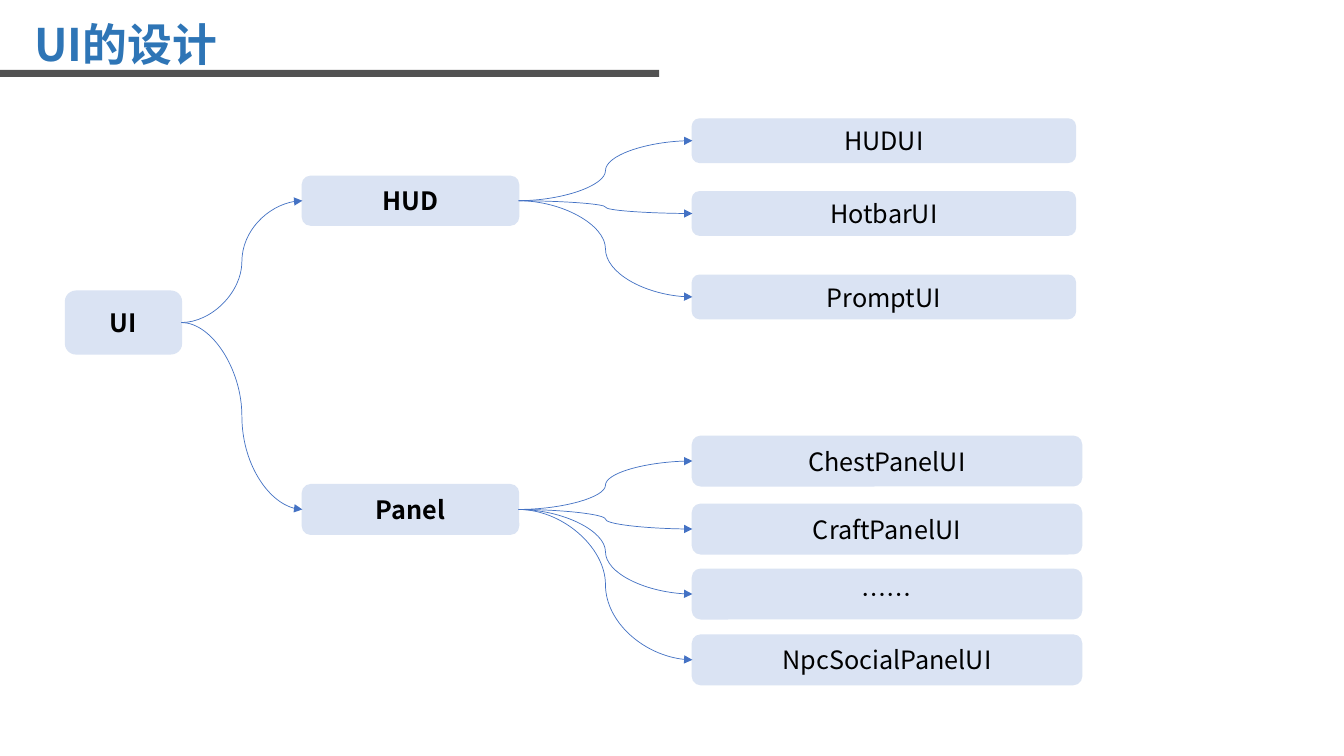
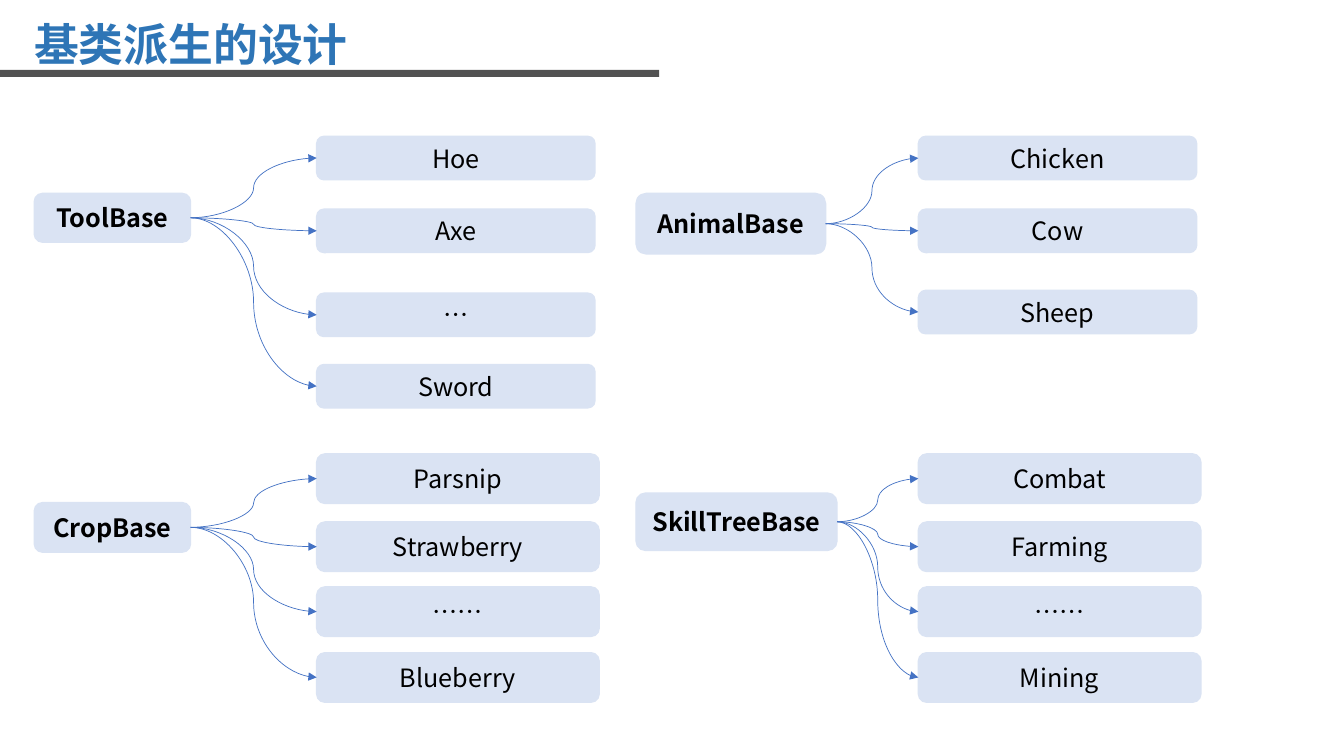
"""Two slides of class trees: the UI hierarchy and the base-class hierarchies."""
from dataclasses import dataclass

from pptx import Presentation
from pptx.dml.color import RGBColor
from pptx.enum.shapes import MSO_CONNECTOR, MSO_SHAPE
from pptx.enum.text import MSO_ANCHOR, PP_ALIGN
from pptx.oxml.ns import qn
from pptx.util import Pt
from lxml.etree import SubElement


@dataclass(frozen=True)
class Theme:
    font: str = "Noto Sans CJK SC"
    title: RGBColor = RGBColor(0x2E, 0x75, 0xB6)
    band: RGBColor = RGBColor(0x52, 0x52, 0x52)
    node: RGBColor = RGBColor(0xDA, 0xE3, 0xF3)
    arrow: RGBColor = RGBColor(0x44, 0x72, 0xC4)
    text: RGBColor = RGBColor(0, 0, 0)
    title_size: int = 32
    node_size: int = 18


THEME = Theme()
RIGHT_SITE, LEFT_SITE = 3, 1
SHORT, TALL = 31, 35.4
TALL_STEPS = (0, 48.6, 95, 142)

SLIDES = [
    ("UI的设计", ("UI", 46.8, 208, 82.8, 44.8), [
        (("HUD", 216, 126, 154.4, 34.8), (494.6, 85, 273.6, SHORT),
         ("HUDUI", "HotbarUI", "PromptUI"), (0, 52, 111.6)),
        (("Panel", 216, 346.2, 154.4, 35.4), (494.6, 311.6, 278, TALL),
         ("ChestPanelUI", "CraftPanelUI", "……", "NpcSocialPanelUI"), TALL_STEPS),
    ]),
    ("基类派生的设计", None, [
        (("ToolBase", 24.5, 138.2, 111.6, 34.8), (226.2, 97.4, 198.8, SHORT),
         ("Hoe", "Axe", "…", "Sword"), (0, 52, 112, 163)),
        (("CropBase", 24.5, 359, 111.6, 35.4), (226.2, 324.2, 201.8, TALL),
         ("Parsnip", "Strawberry", "……", "Blueberry"), TALL_STEPS),
        (("AnimalBase", 454.3, 138.2, 135.4, 43.2), (656, 97.4, 198.8, SHORT),
         ("Chicken", "Cow", "Sheep"), (0, 52, 110)),
        (("SkillTreeBase", 454.3, 352.2, 143.6, 41), (656, 324.2, 201.8, TALL),
         ("Combat", "Farming", "……", "Mining"), TALL_STEPS),
    ]),
]


def write(shape, text, size, color, bold):
    shape.text_frame.text = text
    shape.text_frame.word_wrap = True
    shape.text_frame.vertical_anchor = MSO_ANCHOR.MIDDLE
    paragraph = shape.text_frame.paragraphs[0]
    font = paragraph.font
    font.size, font.bold, font.name = Pt(size), bold, THEME.font
    font.color.rgb = color
    east_asian = SubElement(paragraph._p.pPr.find(qn("a:defRPr")), qn("a:ea"))
    east_asian.set("typeface", THEME.font)
    return paragraph


def add_node(slide, label, left, top, width, height, parent=None, bold=False):
    node = slide.shapes.add_shape(
        MSO_SHAPE.ROUNDED_RECTANGLE, Pt(left), Pt(top), Pt(width), Pt(height))
    node.shadow.inherit = False
    node.fill.solid()
    node.fill.fore_color.rgb = node.line.color.rgb = THEME.node
    node.line.width = Pt(1)
    write(node, label, THEME.node_size, THEME.text, bold).alignment = PP_ALIGN.CENTER
    if parent is not None:
        arrow = slide.shapes.add_connector(MSO_CONNECTOR.CURVE, 0, 0, 0, 0)
        arrow.begin_connect(parent, RIGHT_SITE)
        arrow.end_connect(node, LEFT_SITE)
        arrow.line.color.rgb = THEME.arrow
        arrow.line.width = Pt(0.5)
        SubElement(arrow.line._get_or_add_ln(), qn("a:tailEnd")).set("type", "triangle")
        SubElement(arrow._element.spPr, qn("a:effectLst"))
    return node


deck = Presentation()
deck.slide_width, deck.slide_height = Pt(960), Pt(540)

for heading, root, branches in SLIDES:
    slide = deck.slides.add_slide(deck.slide_layouts[6])
    title = slide.shapes.add_textbox(Pt(17.3), Pt(-18.7), Pt(828), Pt(104.4))
    write(title, heading, THEME.title_size, THEME.title, True).line_spacing = 0.9
    band = slide.shapes.add_shape(MSO_SHAPE.RECTANGLE, 0, Pt(50), Pt(470.8), Pt(5))
    band.shadow.inherit = False
    band.fill.solid()
    band.fill.fore_color.rgb = THEME.band
    band.line.fill.background()

    root_node = add_node(slide, *root, bold=True) if root else None
    for base, (left, top, width, height), leaves, steps in branches:
        base_node = add_node(slide, *base, parent=root_node, bold=True)
        for leaf, step in zip(leaves, steps):
            add_node(slide, leaf, left, top + step, width, height, parent=base_node)

deck.save("out.pptx")
